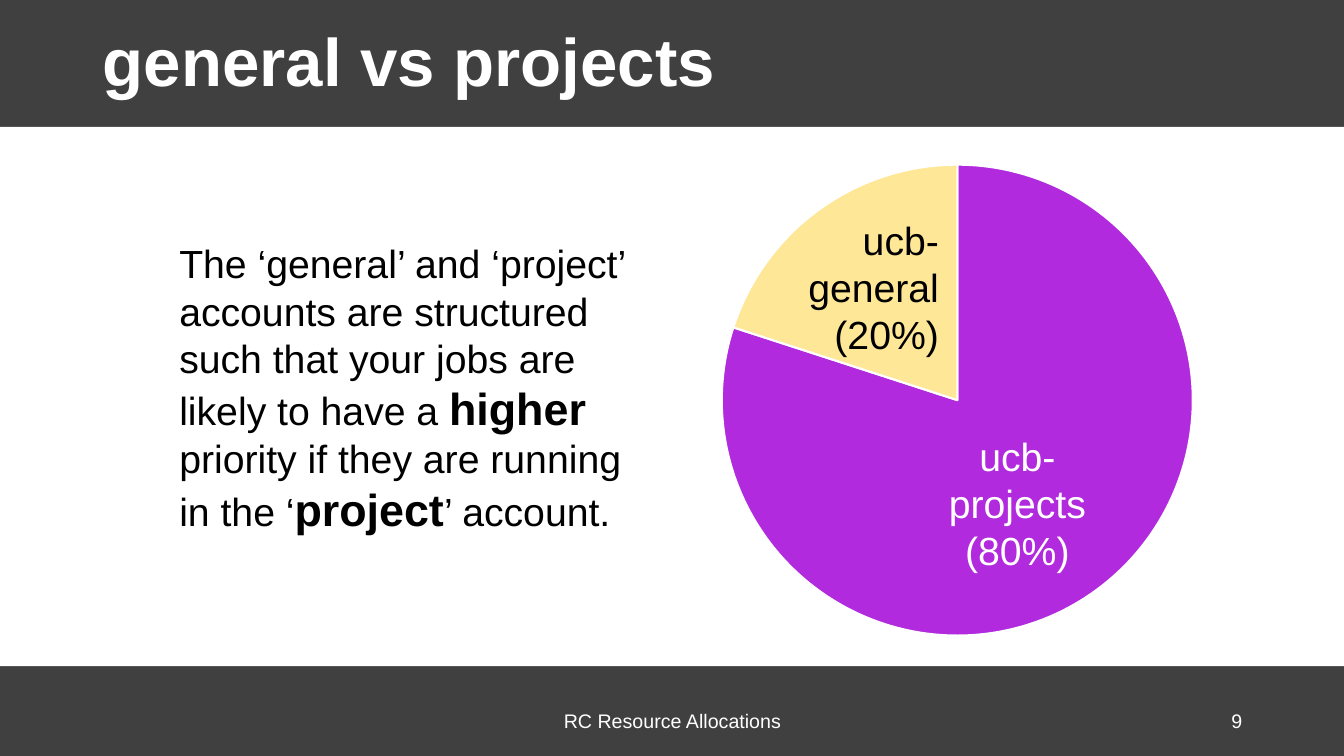
from lxml import etree
from pptx import Presentation
from pptx.chart.data import CategoryChartData
from pptx.dml.color import RGBColor
from pptx.enum.chart import XL_CHART_TYPE as ChartType
from pptx.enum.shapes import MSO_SHAPE as Shape
from pptx.enum.text import MSO_ANCHOR as Anchor, MSO_AUTO_SIZE as AutoSize, PP_ALIGN as Align
from pptx.oxml.ns import qn
from pptx.util import Inches, Pt

CHARCOAL = RGBColor(0x40, 0x40, 0x40)
WHITE = RGBColor(0xFF, 0xFF, 0xFF)
BLACK = RGBColor(0x00, 0x00, 0x00)
PURPLE = RGBColor(0xB1, 0x2A, 0xDE)
YELLOW = RGBColor(0xFF, 0xE7, 0x98)

NORMAL = {"size": Pt(28), "bold": False}
STRONG = {"size": Pt(32), "bold": True}
FOOTER = {"size": Pt(14), "bold": False}
HEADING = {"size": Pt(48), "bold": True}

MESSAGE = [
    ("The ‘general’ and ‘project’ accounts are structured such that your jobs "
     "are likely to have a ", NORMAL),
    ("higher", STRONG),
    (" priority if they are running in the ‘", NORMAL),
    ("project", STRONG),
    ("’ account.", NORMAL),
]


def write(frame, spans, color, align=Align.LEFT, anchor=Anchor.TOP):
    """Fill a text frame with one paragraph of formatted spans."""
    settings = {"word_wrap": True, "auto_size": AutoSize.NONE, "vertical_anchor": anchor}
    for name, value in settings.items():
        setattr(frame, name, value)
    para = frame.paragraphs[0]
    para.alignment = align
    for text, style in spans:
        span = para.add_run()
        span.text = text
        for name, value in {"name": "Arial", **style}.items():
            setattr(span.font, name, value)
        span.font.color.rgb = color
    return para


def add_text(page, bounds, spans, color, **placing):
    box = page.shapes.add_textbox(*map(Inches, bounds))
    write(box.text_frame, spans, color, **placing)


def add_title(page, text):
    title = page.shapes.title
    bounds = {"left": 0.92, "top": 0.04, "width": 11.5, "height": 1.2}
    for name, value in bounds.items():
        setattr(title, name, Inches(value))
    para = write(title.text_frame, [(text, HEADING)], WHITE, anchor=Anchor.MIDDLE)
    para.line_spacing = 0.9


def add_panel(page):
    panel = page.shapes.add_shape(Shape.RECTANGLE, 0, Inches(1.26), Inches(13.33), Inches(5.35))
    panel.shadow.inherit = False
    panel.fill.solid()
    panel.fill.fore_color.rgb = WHITE
    panel.line.fill.background()


def place_plot(chart, **fractions):
    """Fix the inner plot area as fractions of the chart frame."""
    plot_area = chart.plots[0]._element.getparent()
    for old in plot_area.findall(qn("c:layout")):
        plot_area.remove(old)
    layout = etree.Element(qn("c:layout"))
    manual = etree.SubElement(layout, qn("c:manualLayout"))
    values = {"layoutTarget": "inner", "xMode": "edge", "yMode": "edge", **fractions}
    for name, value in values.items():
        etree.SubElement(manual, qn(f"c:{name}")).set("val", str(value))
    plot_area.insert(0, layout)


def add_pie(page, bounds, values, colors):
    data = CategoryChartData()
    data.categories = [str(number) for number in range(1, len(values) + 1)]
    data.add_series("Series 1", values)
    chart = page.shapes.add_chart(ChartType.PIE, *map(Inches, bounds), data).chart
    chart.has_legend = False
    chart.has_title = False
    for name, value in {"name": "Calibri", "size": Pt(10)}.items():
        setattr(chart.font, name, value)
    chart.font.color.rgb = BLACK
    plot = chart.plots[0]
    plot.vary_by_categories = True
    for index, color in enumerate(colors):
        form = plot.series[0].points[index].format
        form.fill.solid()
        form.fill.fore_color.rgb = color
        form.line.color.rgb = WHITE
        form.line.width = Pt(1.5)
    place_plot(chart, x=0.152, y=0, w=0.658, h=0.991)


def main():
    deck = Presentation()
    deck.slide_width, deck.slide_height = Inches(13.33), Inches(7.5)
    page = deck.slides.add_slide(deck.slide_layouts.get_by_name("Title Only"))
    page.background.fill.solid()
    page.background.fill.fore_color.rgb = CHARCOAL

    # Frame: white panel, title and footer
    add_panel(page)
    add_title(page, "general vs projects")
    add_text(page, (4.42, 6.95, 4.5, 0.4), [("RC Resource Allocations", FOOTER)], WHITE,
             align=Align.CENTER, anchor=Anchor.MIDDLE)
    add_text(page, (9.42, 6.95, 3, 0.4), [("9", FOOTER)], WHITE,
             align=Align.RIGHT, anchor=Anchor.MIDDLE)

    # Pie with its slice labels
    add_pie(page, (6.08, 1.24, 7.1, 5.51), (80, 20), (PURPLE, YELLOW))
    add_text(page, (9.03, 4.24, 2.12, 1.51), [("ucb-projects (80%)", NORMAL)], WHITE,
             align=Align.CENTER)
    add_text(page, (7.22, 2.1, 2.19, 1.51), [("ucb-general (20%)", NORMAL)], BLACK,
             align=Align.RIGHT)

    # Message
    add_text(page, (1.68, 2.33, 4.76, 3.53), MESSAGE, BLACK)

    deck.save("out.pptx")


if __name__ == "__main__":
    main()
